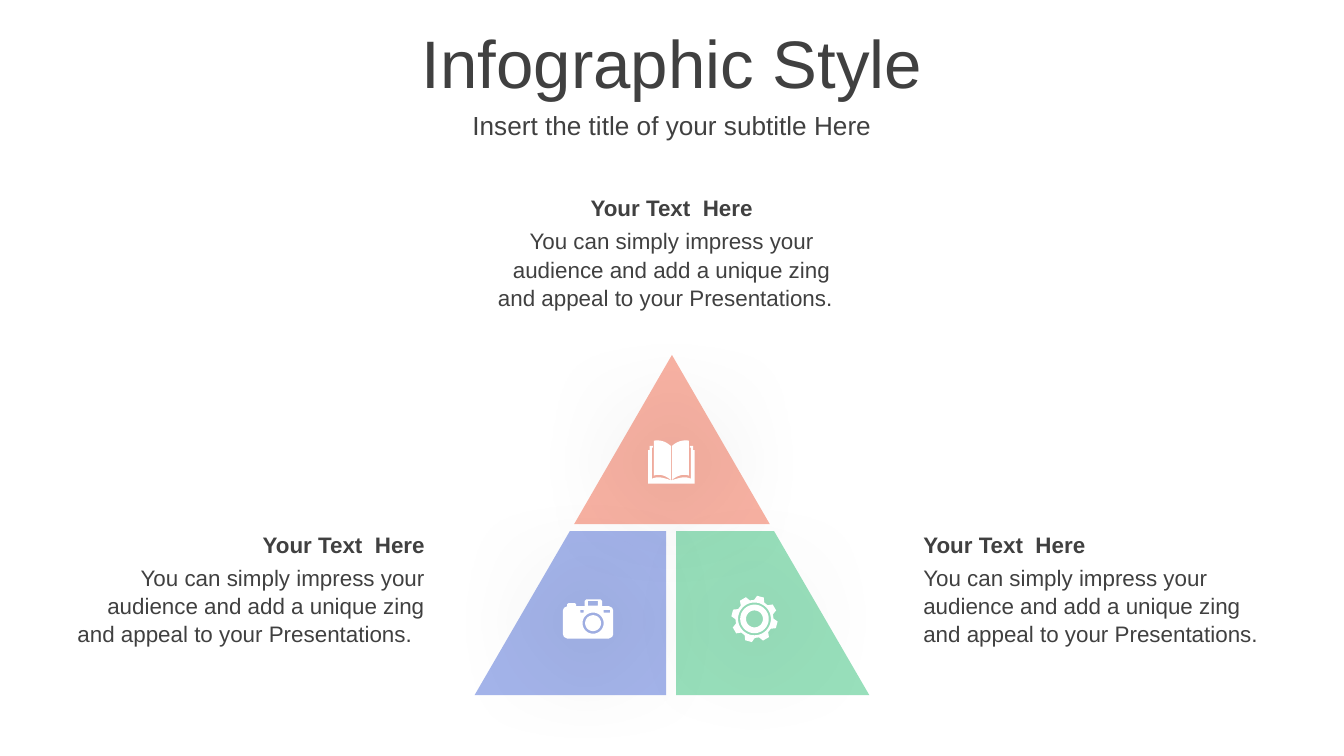
from dataclasses import dataclass
from math import cos, radians, sin

from lxml import etree
from pptx import Presentation
from pptx.dml.color import RGBColor
from pptx.enum.text import MSO_ANCHOR, MSO_AUTO_SIZE, PP_ALIGN
from pptx.oxml.ns import qn
from pptx.util import Cm, Pt

LEFT, CENTER, RIGHT = PP_ALIGN.LEFT, PP_ALIGN.CENTER, PP_ALIGN.RIGHT
MIDDLE = MSO_ANCHOR.MIDDLE
NO_AUTOFIT = MSO_AUTO_SIZE.NONE

DARK_GREY = RGBColor(0x40, 0x40, 0x40)
WHITE = RGBColor(0xFF, 0xFF, 0xFF)
CORAL = RGBColor(0xF8, 0xB2, 0xA3)
GREEN = RGBColor(0x98, 0xDF, 0xBB)
BLUE = RGBColor(0xA4, 0xB4, 0xEA)
FONT = "Arial"

HEADING = "Your Text  Here"
BODY = ("You can simply impress your audience and add a unique zing "
        "and appeal to your Presentations.")

Point = tuple[float, float]
Contour = list[Point]


@dataclass
class Caption:
    left: float
    top: float
    alignment: PP_ALIGN
    body: str


@dataclass
class Piece:
    color: RGBColor
    corners: Contour


# Outlines, in centimetres
def circle(x: float, y: float, radius: float, steps: int = 48) -> Contour:
    angles = [radians(360 * step / steps) for step in range(steps)]
    return [(x + radius * cos(a), y + radius * sin(a)) for a in angles]


def rectangle(left: float, top: float, right: float, bottom: float) -> Contour:
    return [(left, top), (right, top), (right, bottom), (left, bottom)]


def curve(a: Point, b: Point, c: Point, d: Point, steps: int = 10) -> Contour:
    """Points along a cubic Bezier curve."""
    points = []
    for step in range(steps + 1):
        t = step / steps
        weights = ((1 - t) ** 3, 3 * t * (1 - t) ** 2, 3 * t * t * (1 - t), t ** 3)
        points.append((sum(w * p[0] for w, p in zip(weights, (a, b, c, d))),
                       sum(w * p[1] for w, p in zip(weights, (a, b, c, d)))))
    return points


def book(x: float) -> list[Contour]:
    page = (curve((0.01, 8.43), (0.1, 8.35), (0.2, 8.31), (0.33, 8.33))
            + curve((0.33, 8.99), (0.23, 8.95), (0.11, 8.99), (0.01, 9.07)))
    cover = ([(0, 9.14), (0.44, 9.14), (0.44, 8.51), (0.41, 8.51),
              (0.41, 8.43), (0.35, 8.43), (0.35, 8.46), (0.37, 8.46)]
             + curve((0.37, 9.05), (0.24, 8.99), (0.14, 9.04), (0, 9.08)))
    return [[(x + side * dx, y) for dx, y in half]
            for side in (-1, 1) for half in (page, cover)]


def gear(x: float, y: float) -> list[Contour]:
    teeth = []
    for tooth in range(8):
        for offset, radius in ((-16, 0.36), (-8.5, 0.44), (8.5, 0.44), (16, 0.36)):
            angle = radians(-75 + 45 * tooth + offset)
            teeth.append((x + radius * cos(angle), y + radius * sin(angle)))
    return [teeth] + [circle(x, y, radius) for radius in (0.31, 0.27, 0.16)]


def camera() -> list[Contour]:
    body = [(10.64, 11.54), (10.66, 11.49), (10.72, 11.46), (10.72, 11.42),
            (10.75, 11.4), (10.86, 11.4), (10.89, 11.42), (10.89, 11.46),
            (11.05, 11.46), (11.05, 11.36), (11.08, 11.33), (11.35, 11.33),
            (11.38, 11.36), (11.38, 11.46), (11.51, 11.46), (11.57, 11.49),
            (11.59, 11.54), (11.59, 11.99), (11.57, 12.04), (11.51, 12.07),
            (10.72, 12.07), (10.66, 12.04), (10.64, 11.99)]
    return [body, circle(11.21, 11.78, 0.2), circle(11.21, 11.78, 0.15),
            rectangle(10.97, 11.53, 11.03, 11.58),
            rectangle(11.41, 11.53, 11.53, 11.58),
            rectangle(11.11, 11.36, 11.3, 11.45)]


# Drawing
def draw_outline(slide, contours: list[Contour], color: RGBColor):
    builder = None
    for contour in contours:
        points = [(Cm(x), Cm(y)) for x, y in contour]
        if builder is None:
            builder = slide.shapes.build_freeform(*points[0])
        else:
            builder.move_to(*points[0])
        builder.add_line_segments(points[1:], close=True)
    shape = builder.convert_to_shape()
    shape.shadow.inherit = False
    shape.fill.solid()
    shape.fill.fore_color.rgb = color
    shape.line.fill.background()
    return shape


def add_soft_shadow(shape) -> None:
    effects = shape.element.spPr.find(qn("a:effectLst"))
    shadow = etree.SubElement(effects, qn("a:outerShdw"), blurRad=str(Pt(63)),
                              dist="0", dir="0", algn="ctr", rotWithShape="0")
    black = etree.SubElement(shadow, qn("a:srgbClr"), val="000000")
    etree.SubElement(black, qn("a:alpha"), val="40000")


def write_text(shape, text: str, size: int, alignment: PP_ALIGN,
               bold: bool = False, spacing: float = 1.0) -> None:
    shape.text_frame.word_wrap = True
    paragraph = shape.text_frame.paragraphs[0]
    paragraph.alignment = alignment
    paragraph.line_spacing = spacing
    paragraph.space_before = Pt(0)
    run = paragraph.add_run()
    run.text = text
    run.font.name = FONT
    run.font.size = Pt(size)
    run.font.bold = bold
    run.font.color.rgb = DARK_GREY


def fill_placeholder(shape, top: float, height: float, text: str, size: int) -> None:
    shape.left, shape.top = Cm(0), Cm(top)
    shape.width, shape.height = Cm(25.4), Cm(height)
    shape.text_frame.auto_size = NO_AUTOFIT
    shape.text_frame.vertical_anchor = MIDDLE
    write_text(shape, text, size, CENTER)


def draw_caption(slide, caption: Caption) -> None:
    add_box = slide.shapes.add_textbox
    body = add_box(Cm(caption.left), Cm(caption.top + 0.6), Cm(7.19), Cm(1.8))
    write_text(body, caption.body, 12, caption.alignment, spacing=1.05)
    heading = add_box(Cm(caption.left), Cm(caption.top), Cm(7.19), Cm(0.76))
    write_text(heading, HEADING, 12, caption.alignment, bold=True)


PIECES = [
    Piece(CORAL, [(12.7, 6.71), (14.55, 9.91), (10.85, 9.91)]),
    Piece(GREEN, [(12.78, 10.04), (14.63, 10.04), (16.43, 13.14), (12.78, 13.14)]),
    Piece(BLUE, [(10.77, 10.04), (12.59, 10.04), (12.59, 13.14), (8.97, 13.14)]),
]
CAPTIONS = [
    Caption(1.09, 9.91, RIGHT, BODY + "  "),
    Caption(17.2, 9.91, LEFT, BODY),
    Caption(9.1, 3.55, CENTER, BODY + "  "),
]


def main() -> None:
    presentation = Presentation()
    presentation.slide_width, presentation.slide_height = Cm(25.4), Cm(14.29)
    slide = presentation.slides.add_slide(presentation.slide_layouts[0])

    # Title and subtitle
    title, subtitle = slide.placeholders
    fill_placeholder(title, 0.36, 1.6, "Infographic Style", 36)
    fill_placeholder(subtitle, 1.96, 0.79, "Insert the title of your subtitle Here", 14)

    # Three-part pyramid with its icons
    for piece in PIECES:
        draw_outline(slide, [piece.corners], piece.color)
    for icon in (book(12.69), gear(14.26, 11.7), camera()):
        add_soft_shadow(draw_outline(slide, icon, WHITE))

    # Captions around the pyramid
    for caption in CAPTIONS:
        draw_caption(slide, caption)

    presentation.save("out.pptx")


if __name__ == "__main__":
    main()
